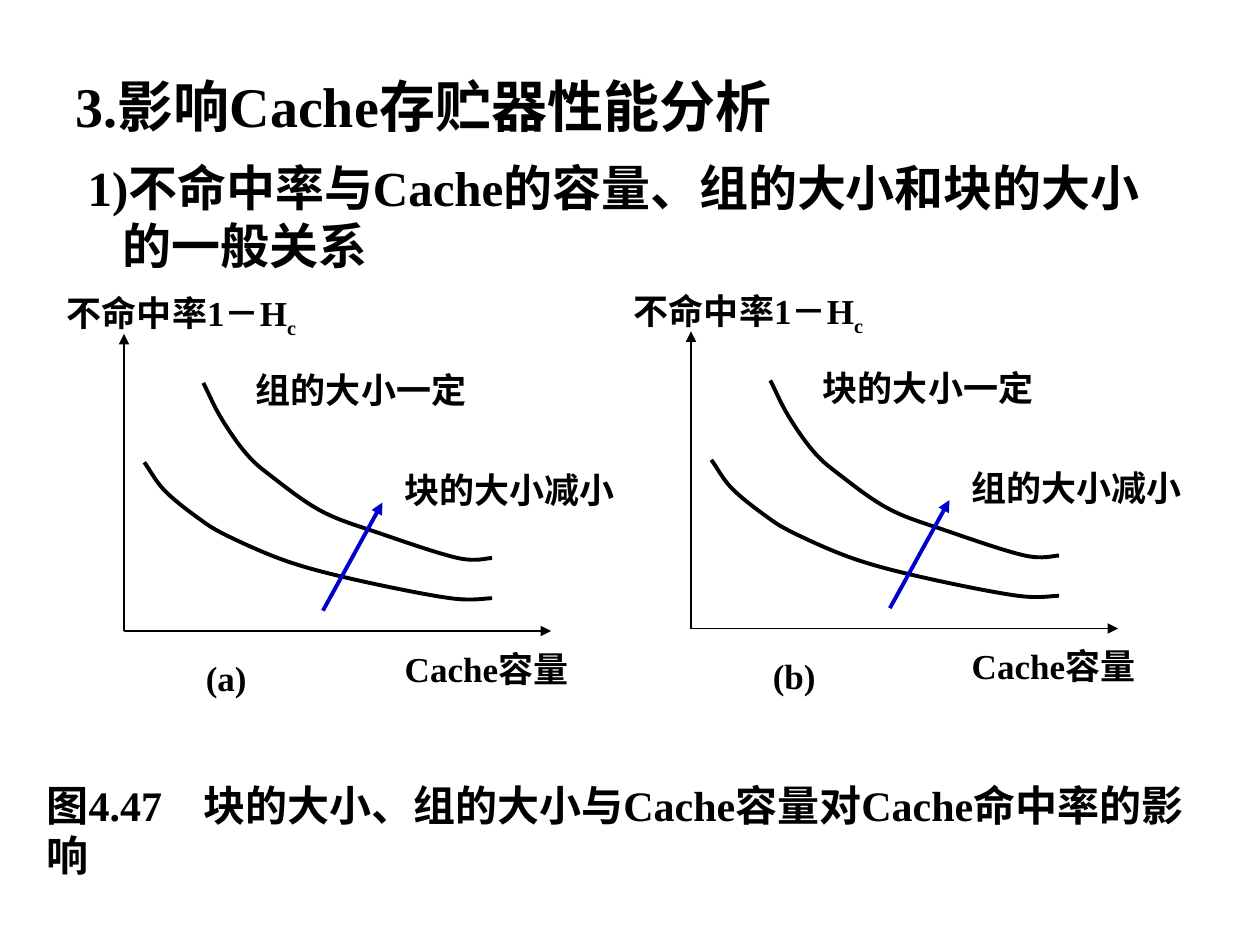
from dataclasses import dataclass
from lxml.etree import SubElement
from pptx import Presentation
from pptx.dml.color import RGBColor
from pptx.enum.shapes import MSO_CONNECTOR
from pptx.enum.text import MSO_AUTO_SIZE
from pptx.oxml.ns import qn
from pptx.util import Cm, Pt


@dataclass(frozen=True)
class Theme:
    face: str = "Times New Roman"
    ink: str = "000000"
    blue: str = "0000CC"
    head: float = 32
    sub: float = 28
    note: float = 24
    label: float = 20
    thin: float = 0.75
    thick: float = 2.25


THEME = Theme()
HEADS = [
    ("3.影响Cache存贮器性能分析", THEME.head, 6.4),
    (" 1)不命中率与Cache的容量、组的大小和块的大小的一般关系", THEME.sub, 10.4),
]
NOTE = "图4.47\t块的大小、组的大小与Cache容量对Cache命中率的影响"
PANELS = [
    (2.5, 12.72, "组的大小一定", "块的大小减小", "(a)"),
    (13.93, 12.67, "块的大小一定", "组的大小减小", "(b)"),
]
RATE, SIZE = "不命中率1－H", "Cache容量"
SPOTS = {
    "rate": (-1.4, -6.96, 8),
    "size": (5.41, 0.2, 4.9),
    "fixed": (2.41, -5.41, 6.6),
    "trend": (5.41, -3.4, 5.4),
    "tag": (1.4, 0.39, 1.4),
}
AXES = [(0, 0, 8.61, 0), (0, 0, 0, -5.99)]
TREND = (4.01, -0.41, 5.21, -2.59)
CURVES = [
    [(1.6, -5), (1.96, -4.29), (2.46, -3.58), (2.97, -3.12),
     (3.99, -2.41), (5.18, -1.96), (6.73, -1.47), (7.42, -1.47)],
    [(0.41, -3.4), (0.81, -2.84), (1.45, -2.31), (2.06, -1.93),
     (3.3, -1.4), (4.72, -1.02), (6.58, -0.66), (7.42, -0.66)],
]


def style(para, size):
    font = para.font
    font.name, font.size, font.bold = THEME.face, Pt(size), True
    font.color.rgb = RGBColor.from_string(THEME.ink)


def add_text(slide, left, top, width, height):
    box = slide.shapes.add_textbox(Cm(left), Cm(top), Cm(width), Cm(height))
    box.text_frame.word_wrap = True
    return box.text_frame


def add_label(slide, text, x, y, key):
    dx, dy, width = SPOTS[key]
    frame = add_text(slide, x + dx, y + dy, width, 1.09)
    frame.auto_size = MSO_AUTO_SIZE.SHAPE_TO_FIT_TEXT
    para = frame.paragraphs[0]
    para.add_run().text = text
    style(para, THEME.label)
    return para


def add_arrow(slide, x, y, ends, color, width):
    dx, dy, end_x, end_y = ends
    link = slide.shapes.add_connector(
        MSO_CONNECTOR.STRAIGHT,
        Cm(x + dx), Cm(y + dy), Cm(x + end_x), Cm(y + end_y))
    link.line.color.rgb = RGBColor.from_string(color)
    link.line.width = Pt(width)
    SubElement(link.line._get_or_add_ln(), qn("a:tailEnd"), type="triangle")
    SubElement(link._element.spPr, qn("a:effectLst"))


def bend(curve):
    nodes = list(curve._element.iter(qn("a:pt")))
    knots = [(int(node.get("x")), int(node.get("y"))) for node in nodes]
    first = tuple(2 * a - b for a, b in zip(knots[0], knots[1]))
    ends = [first, *knots, knots[-1]]
    quads = zip(ends, ends[1:], ends[2:], ends[3:])
    for node, (prev, start, stop, after) in zip(nodes[1:], quads):
        step = node.getparent()
        step.tag = qn("a:cubicBezTo")
        step.remove(node)
        lead = [b + (c - a) / 6 for a, b, c in zip(prev, start, stop)]
        trail = [c - (d - b) / 6 for b, c, d in zip(start, stop, after)]
        for x, y in (lead, trail, stop):
            SubElement(step, qn("a:pt"), x=str(round(x)), y=str(round(y)))


def add_curve(slide, x, y, knots):
    dots = [(Cm(x + dx), Cm(y + dy)) for dx, dy in knots]
    pen = slide.shapes.build_freeform(*dots[0])
    pen.add_line_segments(dots[1:], close=False)
    curve = pen.convert_to_shape()
    bend(curve)
    curve.shadow.inherit = False
    curve.fill.background()
    curve.line.color.rgb = RGBColor.from_string(THEME.ink)
    curve.line.width = Pt(THEME.thick)


def add_panel(slide, x, y, fixed, trend, tag):
    for ends in AXES:
        add_arrow(slide, x, y, ends, THEME.ink, THEME.thin)
    run = add_label(slide, RATE, x, y, "rate").add_run()
    run.text = "c"
    run._r.get_or_add_rPr().set("baseline", "-25000")
    add_label(slide, SIZE, x, y, "size")
    for knots in CURVES:
        add_curve(slide, x, y, knots)
    add_arrow(slide, x, y, TREND, THEME.blue, THEME.thick)
    for key, text in (("fixed", fixed), ("trend", trend), ("tag", tag)):
        add_label(slide, text, x, y, key)


def add_heads(slide):
    frame = add_text(slide, 1.27, 1.32, 22.86, 15.7)
    for index, (text, size, gap) in enumerate(HEADS):
        para = frame.add_paragraph() if index else frame.paragraphs[0]
        para.text = text
        para.space_before = Pt(gap)
        props = para._p.get_or_add_pPr()
        props.set("marL", str(Cm(0.95)))
        props.set("indent", str(-Cm(0.95)))
        style(para, size)


def add_note(slide):
    para = add_text(slide, 0.69, 15.58, 23.95, 1.27).paragraphs[0]
    para.text = NOTE
    tabs = SubElement(para._p.get_or_add_pPr(), qn("a:tabLst"))
    SubElement(tabs, qn("a:tab"), pos=str(Cm(3.16)), algn="l")
    style(para, THEME.note)


def main():
    """Build the slide on cache miss rate and save it."""
    deck = Presentation()
    deck.slide_width, deck.slide_height = Cm(25.4), Cm(19.05)
    slide = deck.slides.add_slide(deck.slide_layouts[6])
    add_heads(slide)
    for panel in PANELS:
        add_panel(slide, *panel)
    add_note(slide)
    deck.save("out.pptx")


if __name__ == "__main__":
    main()
